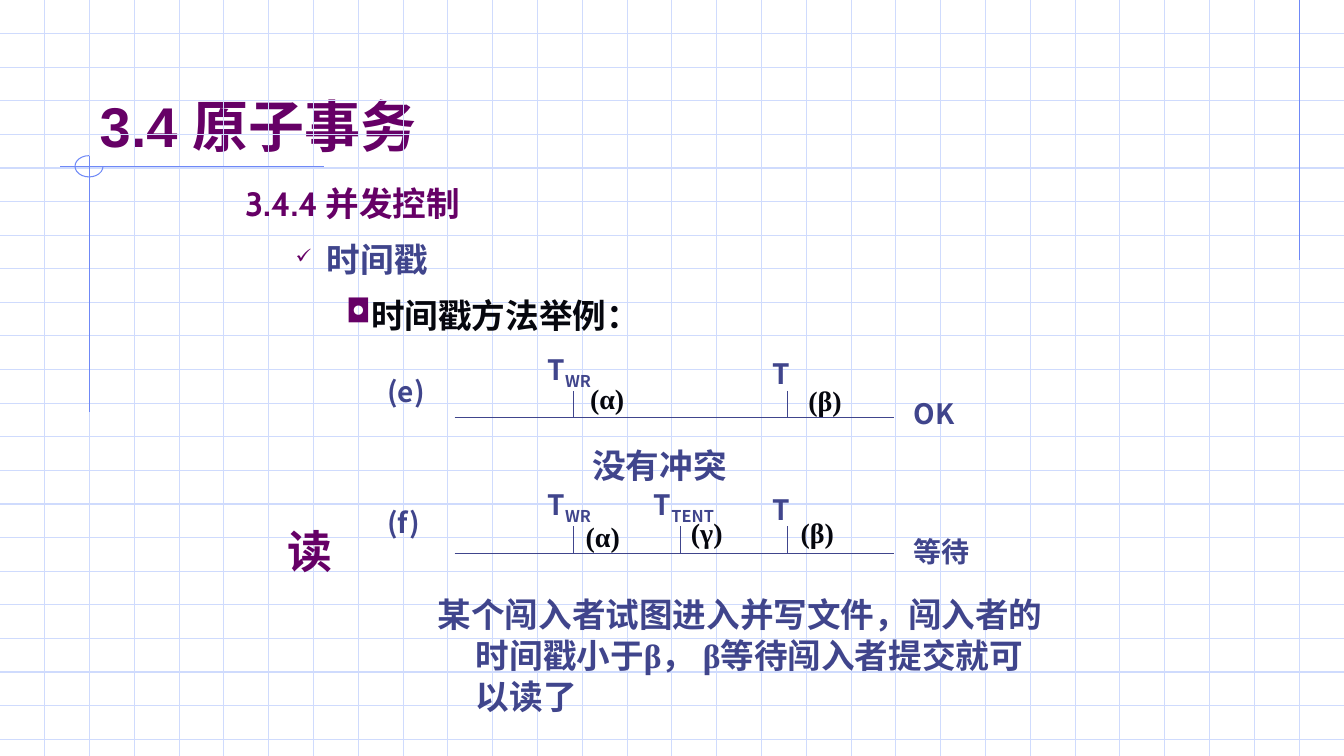
from lxml import etree
from pptx import Presentation
from pptx.dml.color import RGBColor
from pptx.enum.shapes import MSO_CONNECTOR, MSO_SHAPE
from pptx.enum.text import MSO_ANCHOR, PP_ALIGN
from pptx.oxml.ns import qn
from pptx.util import Pt

PX = 10160
WIDTH, HEIGHT = 1200, 675
STRAIGHT = MSO_CONNECTOR.STRAIGHT
ARC = MSO_SHAPE.ARC
BOTTOM = MSO_ANCHOR.BOTTOM
LEFT = PP_ALIGN.LEFT
GRID = RGBColor(0xCF, 0xDB, 0xFD)
ACCENT = RGBColor(0x6F, 0x89, 0xF7)
PURPLE = RGBColor(0x66, 0x00, 0x66)
INDIGO = RGBColor(0x40, 0x45, 0x8C)
INK = RGBColor(0x06, 0x07, 0x0E)
HAN = "Noto Sans CJK SC"
SERIF = "Times New Roman"

deck = Presentation()
deck.slide_width = WIDTH * PX
deck.slide_height = HEIGHT * PX
page = deck.slides.add_slide(deck.slide_layouts[5])


def add_line(x1, y1, x2, y2, color):
    line = page.shapes.add_connector(STRAIGHT, x1 * PX, y1 * PX, x2 * PX, y2 * PX)
    line.line.color.rgb = color
    line.line.width = Pt(0.75)
    etree.SubElement(line._element.spPr, qn("a:effectLst"))


def add_span(para, text, size, font, color, baseline=0):
    span = para.add_run()
    span.text = text
    span.font.size = Pt(size)
    span.font.bold = True
    span.font.name = font
    span.font.color.rgb = color
    props = span._r.get_or_add_rPr()
    etree.SubElement(props, qn("a:ea"), typeface=HAN)
    if baseline:
        props.set("baseline", str(baseline))


for y in range(30, HEIGHT, 30):
    add_line(0, y, WIDTH, y, GRID)
for x in range(40, WIDTH, 40):
    add_line(x, 0, x, HEIGHT, GRID)

add_line(1160, 0, 1160, 232, ACCENT)
add_line(289, 149, 54, 149, ACCENT)
add_line(80, 139, 80, 368, ACCENT)
ring = page.shapes.add_shape(ARC, 67 * PX, 139 * PX, 25 * PX, 19 * PX)
ring.adjustments[0] = 0
ring.adjustments[1] = 162
ring.fill.background()
ring.line.color.rgb = ACCENT
ring.line.width = Pt(0.75)
ring.shadow.inherit = False

title = page.shapes.title
title.left, title.top, title.width, title.height = 80 * PX, 34 * PX, 1020 * PX, 112 * PX
title.text_frame.vertical_anchor = BOTTOM
para = title.text_frame.paragraphs[0]
para.alignment = LEFT
add_span(para, "3.4 ", 40, "Arial", PURPLE)
add_span(para, "原子事务", 40, HAN, PURPLE)

outline = [
    ("3.4.4 并发控制", "Cabin", PURPLE, 34, -34, None, None),
    ("时间戳", HAN, INDIGO, 73, -28, "✓", 60),
    ("时间戳方法举例：", HAN, INK, 112, -22, "◘", 95),
]
box = page.shapes.add_textbox(210 * PX, 159 * PX, 787 * PX, 485 * PX)
box.text_frame.word_wrap = True
for i, (text, font, color, margin, indent, bullet, percent) in enumerate(outline):
    para = box.text_frame.paragraphs[0] if i == 0 else box.text_frame.add_paragraph()
    para.line_spacing = Pt(29)
    if i:
        para.space_before = Pt(11)
    add_span(para, text, 24, font, color)
    props = para._p.get_or_add_pPr()
    props.set("marL", str(margin * PX))
    props.set("indent", str(indent * PX))
    if bullet:
        tint = etree.SubElement(props, qn("a:buClr"))
        etree.SubElement(tint, qn("a:srgbClr"), val=str(PURPLE))
        etree.SubElement(props, qn("a:buSzPct"), val=str(percent * 1000))
        etree.SubElement(props, qn("a:buChar"), char=bullet)

for axis, ticks in ((373, (512, 703)), (494, (512, 608, 703))):
    add_line(406, axis, 798, axis, INDIGO)
    for x in ticks:
        add_line(x, axis - 24, x, axis, INDIGO)

labels = [
    (480, 314, 85, 43, 20, HAN, INDIGO, "T", "WR"),
    (681, 314, 75, 40, 20, HAN, INDIGO, "T", ""),
    (518, 336, 64, 40, 20, SERIF, INK, "(α)", ""),
    (713, 338, 64, 40, 20, SERIF, INK, "(β)", ""),
    (575, 435, 105, 43, 20, HAN, INDIGO, "T", "TENT"),
    (480, 435, 85, 43, 20, HAN, INDIGO, "T", "WR"),
    (681, 435, 75, 40, 20, HAN, INDIGO, "T", ""),
    (514, 459, 77, 40, 20, SERIF, INK, "(α)", ""),
    (706, 456, 64, 40, 20, SERIF, INK, "(β)", ""),
    (608, 456, 64, 40, 20, SERIF, INK, "(γ)", ""),
    (337, 330, 75, 40, 20, HAN, INDIGO, "(e)", ""),
    (337, 447, 75, 40, 20, HAN, INDIGO, "(f)", ""),
    (520, 393, 333, 45, 24, HAN, INDIGO, "没有冲突", ""),
    (807, 350, 126, 40, 20, HAN, INDIGO, "OK", ""),
    (807, 473, 126, 40, 20, HAN, INDIGO, "等待", ""),
    (382, 526, 563, 117, 24, HAN, INDIGO, "某个闯入者试图进入并写文件，闯入者的时间戳小于", ""),
    (248, 464, 78, 58, 32, HAN, PURPLE, "读", ""),
]
for left, top, width, height, size, font, color, text, subscript in labels:
    box = page.shapes.add_textbox(left * PX, top * PX, width * PX, height * PX)
    box.text_frame.word_wrap = True
    para = box.text_frame.paragraphs[0]
    props = para._p.get_or_add_pPr()
    props.set("marL", str(34 * PX))
    props.set("indent", str(-34 * PX))
    if font == HAN:
        para.line_spacing = Pt(round(size * 1.2))
    add_span(para, text, size, font, color)
    if subscript:
        add_span(para, subscript, size, font, color, -25000)
    if text.endswith("小于"):
        add_span(para, "β， β等待闯入者提交就可以读了", size, SERIF, color)

deck.save("out.pptx")
